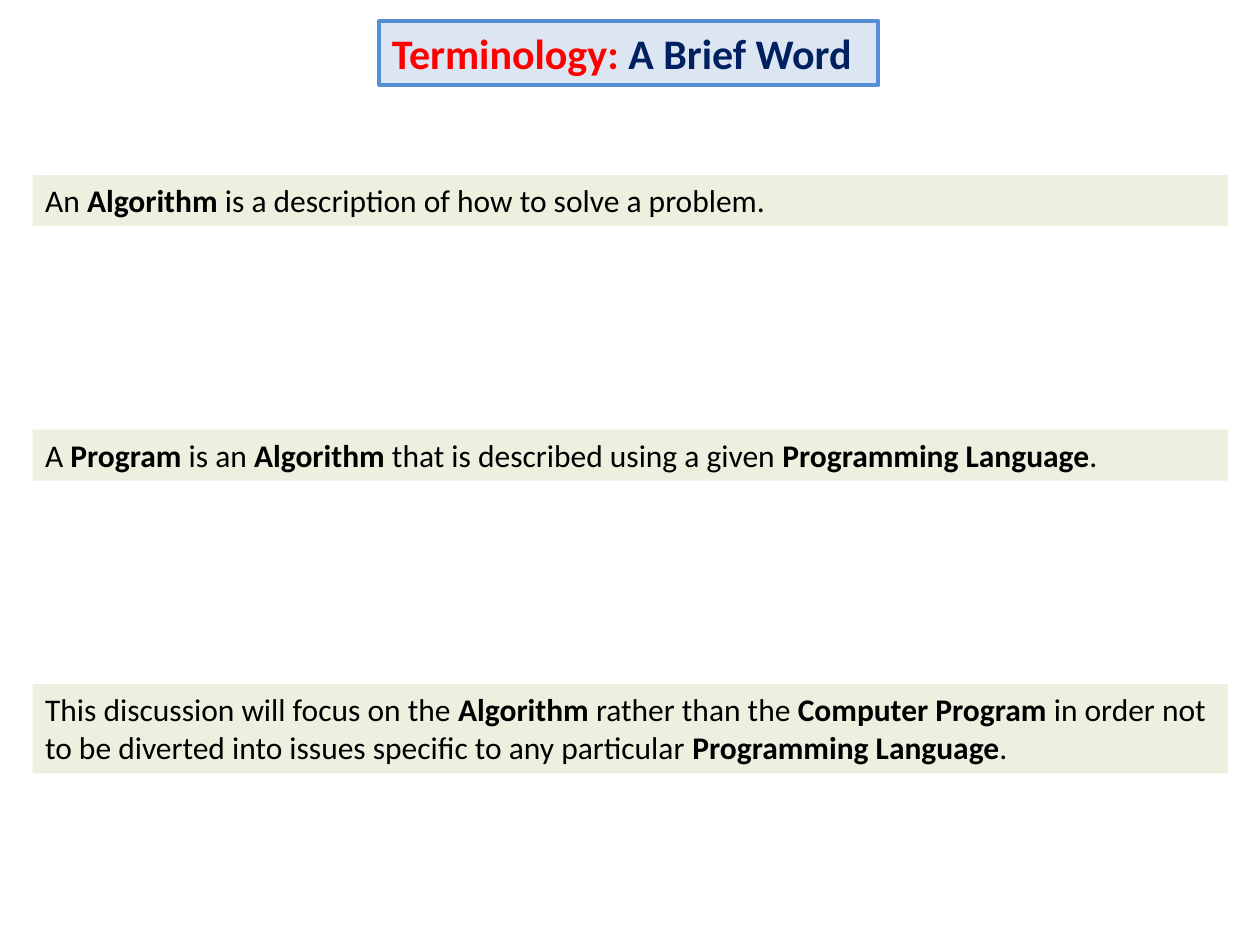
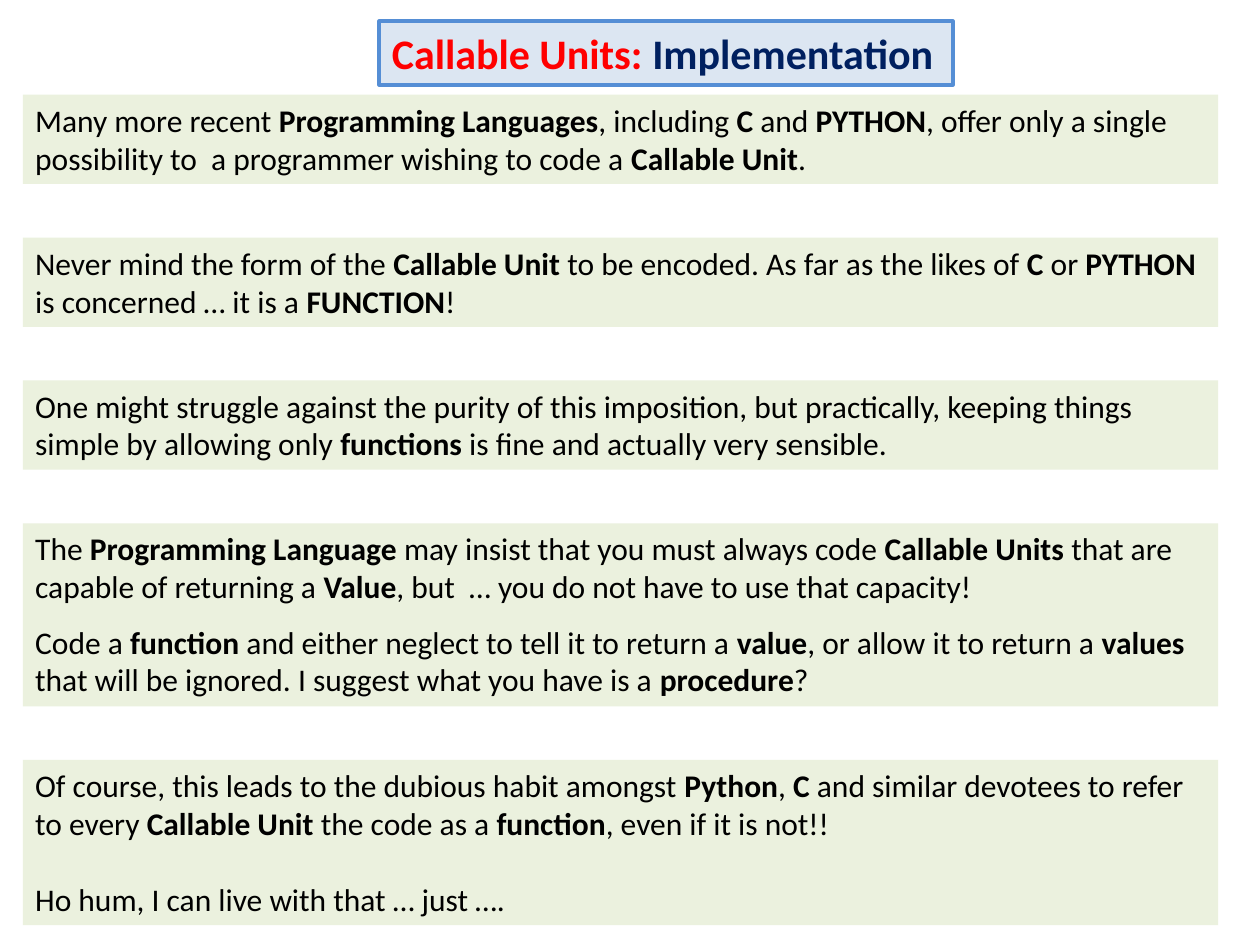
from pptx import Presentation
from pptx.dml.color import RGBColor
from pptx.enum.shapes import MSO_SHAPE
from pptx.enum.text import MSO_ANCHOR, PP_ALIGN
from pptx.util import Cm, Pt

COLORS = {
    "title_fill": "DCE6F2",
    "title_line": "558ED5",
    "topic": "FF0000",
    "subject": "002060",
    "panel": "EBF1DE",
    "text": "000000",
}
FONT = "Calibri"
PANEL_WIDTH = 24.1
ONE_LINE, TWO_LINES = 1.03, 1.8

# Each panel: height in cm, then (space before in pt, text) per paragraph;
# ** switches bold on and off
TERMINOLOGY = [
    (ONE_LINE, [(0, "An **Algorithm** is a description of how to solve a problem.")]),
    (ONE_LINE, [(0, "A **Program** is an **Algorithm** that is described using a given "
                    "**Programming Language**.")]),
    (TWO_LINES, [(0, "This discussion will focus on the **Algorithm** rather than the "
                     "**Computer Program **in order not to be diverted into issues "
                     "specific to any particular **Programming Language**.")]),
]
IMPLEMENTATION = [
    (TWO_LINES, [(0, "Many more recent **Programming Languages**, including **C** and "
                     "**PYTHON**, offer only a single possibility to  a programmer "
                     "wishing to code a **Callable Unit**.")]),
    (TWO_LINES, [(0, "Never mind the form of the **Callable Unit **to be encoded. As far "
                     "as the likes of **C** or **PYTHON** is concerned … it is a "
                     "**FUNCTION**!")]),
    (TWO_LINES, [(0, "One might struggle against the purity of this imposition, but "
                     "practically, keeping things simple by allowing only **functions** "
                     "is fine and actually very sensible.")]),
    (3.69, [(0, "The **Programming Language **may insist that you must always code "
                "**Callable Units **that are capable of returning a **Value**, but  … "
                "you do not have to use that capacity!"),
            (10, "Code a **function** and either neglect to tell it to return a "
                 "**value**, or allow it to return a **values** that will be ignored. "
                 "I suggest what you have is a **procedure**?")]),
    (3.33, [(0, "Of course, this leads to the dubious habit amongst **Python**, **C** and "
                "similar devotees to refer to every **Callable Unit **the code as a "
                "**function**, even if it is not!!"),
            (22, "Ho hum, I can live with that … just ….")]),
]


def rgb(name):
    return RGBColor.from_string(COLORS[name])


def add_box(s, left, top, width, height, fill):
    sp = s.shapes.add_shape(MSO_SHAPE.RECTANGLE, Cm(left), Cm(top), Cm(width), Cm(height))
    sp.shadow.inherit = False
    sp.fill.solid()
    sp.fill.fore_color.rgb = rgb(fill)
    sp.line.fill.background()
    sp.text_frame.word_wrap = True
    sp.text_frame.vertical_anchor = MSO_ANCHOR.TOP
    return sp


def add_run(p, text, size, color, bold):
    r = p.add_run()
    r.text = text
    r.font.name = FONT
    r.font.size = Pt(size)
    r.font.bold = bold
    r.font.color.rgb = rgb(color)


def add_title(s, topic, subject, width):
    sp = add_box(s, 7.65, 0.43, width, 1.28, "title_fill")
    sp.line.color.rgb = rgb("title_line")
    sp.line.width = Pt(2.25)
    p = sp.text_frame.paragraphs[0]
    p.alignment = PP_ALIGN.LEFT
    add_run(p, topic + ": ", 24, "topic", True)
    add_run(p, subject, 24, "subject", True)


def add_panel(s, left, top, height, paragraphs):
    tf = add_box(s, left, top, PANEL_WIDTH, height, "panel").text_frame
    for i, (space, text) in enumerate(paragraphs):
        p = tf.add_paragraph() if i else tf.paragraphs[0]
        p.alignment = PP_ALIGN.LEFT
        if space:
            p.space_before = Pt(space)
        for j, part in enumerate(text.split("**")):
            if part:
                add_run(p, part, 18, "text", j % 2 == 1)


def add_panels(s, left, top, gap, panels):
    """Stack panels downwards with equal gaps."""
    for height, paragraphs in panels:
        add_panel(s, left, top, height, paragraphs)
        top += height + gap


def main():
    prs = Presentation()
    prs.slide_width, prs.slide_height = Cm(25.4), Cm(19.05)
    blank = prs.slide_layouts[6]

    # Terminology
    s = prs.slides.add_slide(blank)
    add_title(s, "Terminology", "A Brief Word", 10.06)
    add_panels(s, 0.66, 3.53, 4.1, TERMINOLOGY)

    # Callable units
    s = prs.slides.add_slide(blank)
    add_title(s, "Callable Units", "Implementation", 11.56)
    add_panels(s, 0.46, 1.91, 1.08, IMPLEMENTATION)

    prs.save("out.pptx")


if __name__ == "__main__":
    main()
